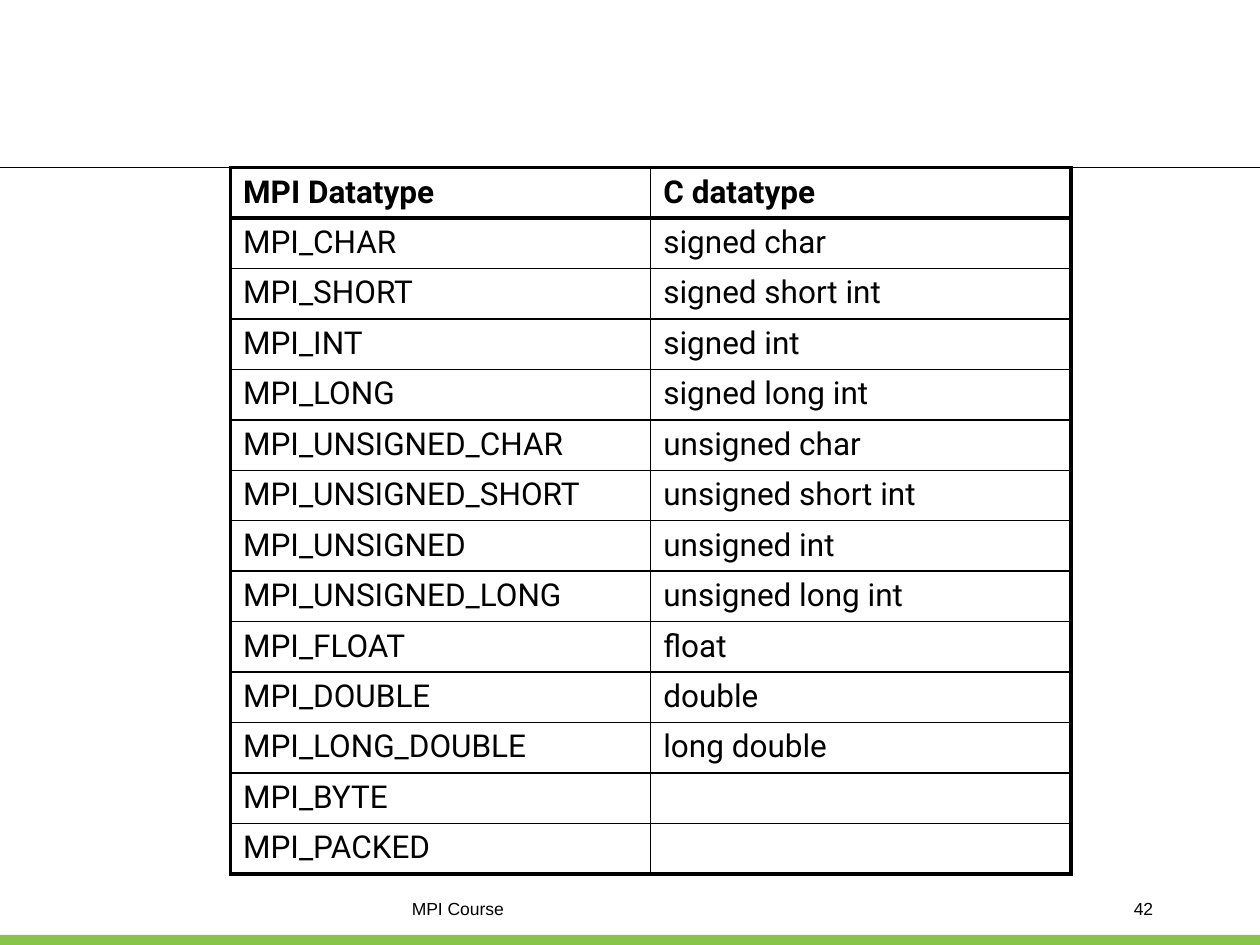
"""Build the slide that maps MPI datatypes to C datatypes."""
from lxml.etree import SubElement
from pptx import Presentation
from pptx.dml.color import RGBColor
from pptx.enum.shapes import MSO_CONNECTOR, MSO_SHAPE
from pptx.enum.text import PP_ALIGN
from pptx.oxml import parse_xml
from pptx.oxml.ns import nsdecls, qn
from pptx.util import Inches, Pt

BLACK = RGBColor(0x00, 0x00, 0x00)
GREEN = RGBColor(0x89, 0xC4, 0x48)
THIN, THICK = Pt(1), Pt(2.25)

DATATYPES = [
    ("MPI Datatype", "C datatype"),
    ("MPI_CHAR", "signed char"),
    ("MPI_SHORT", "signed short int"),
    ("MPI_INT", "signed int"),
    ("MPI_LONG", "signed long int"),
    ("MPI_UNSIGNED_CHAR", "unsigned char"),
    ("MPI_UNSIGNED_SHORT", "unsigned short int"),
    ("MPI_UNSIGNED", "unsigned int"),
    ("MPI_UNSIGNED_LONG", "unsigned long int"),
    ("MPI_FLOAT", "float"),
    ("MPI_DOUBLE", "double"),
    ("MPI_LONG_DOUBLE", "long double"),
    ("MPI_BYTE", ""),
    ("MPI_PACKED", ""),
]


def style_font(font, name, size, bold=False):
    font.name = name
    font.size = Pt(size)
    font.bold = bold
    font.color.rgb = BLACK


def add_green_band(slide):
    band = slide.shapes.add_shape(
        MSO_SHAPE.RECTANGLE, 0, Inches(7.42), Inches(10), Inches(0.08))
    band.shadow.inherit = False
    band.fill.solid()
    band.fill.fore_color.rgb = GREEN
    band.line.fill.background()


def add_title_rule(slide):
    rule = slide.shapes.add_connector(
        MSO_CONNECTOR.STRAIGHT, 0, Inches(1.33), Inches(10), Inches(1.33))
    rule.line.color.rgb = BLACK
    rule.line.width = Pt(0.75)
    SubElement(rule._element.spPr, qn("a:effectLst"))


def add_footer(slide, text, left, width, alignment):
    footer = slide.shapes.add_textbox(
        Inches(left), Inches(7.08), Inches(width), Inches(0.25))
    footer.text_frame.word_wrap = True
    footer.text_frame.text = text
    paragraph = footer.text_frame.paragraphs[0]
    paragraph.alignment = alignment
    style_font(paragraph.runs[0].font, "Arial", 10)


def set_borders(cell, left, right, top, bottom):
    widths = {"lnL": left, "lnR": right, "lnT": top, "lnB": bottom}
    properties = cell._tc.get_or_add_tcPr()
    for position, (side, width) in enumerate(widths.items()):
        properties.insert(position, parse_xml(
            f'<a:{side} {nsdecls("a")} w="{width}"><a:solidFill>'
            f'<a:srgbClr val="{BLACK}"/></a:solidFill></a:{side}>'))


def fill_cell(cell, text, is_header):
    cell.fill.background()
    cell.text_frame.text = text
    paragraph = cell.text_frame.paragraphs[0]
    spacing = SubElement(paragraph._p.get_or_add_pPr(), qn("a:spcBef"))
    SubElement(spacing, qn("a:spcPct"), val="20000")
    for run in paragraph.runs:
        style_font(run.font, "Roboto", 18, is_header)


def add_datatype_table(slide):
    last_row = len(DATATYPES) - 1
    table = slide.shapes.add_table(
        len(DATATYPES), 2, Inches(1.83), Inches(1.33),
        Inches(6.67), Inches(5.54)).table
    table.first_row = False
    table.horz_banding = False
    for row, names in enumerate(DATATYPES):
        for column, name in enumerate(names):
            cell = table.cell(row, column)
            fill_cell(cell, name, row == 0)
            set_borders(
                cell,
                left=THICK if column == 0 else THIN,
                right=THICK if column == 1 else THIN,
                top=THICK if row <= 1 else THIN,
                bottom=THICK if row in (0, last_row) else THIN)


def main():
    presentation = Presentation()
    presentation.slide_width = Inches(10)
    presentation.slide_height = Inches(7.5)
    slide = presentation.slides.add_slide(presentation.slide_layouts[6])
    add_green_band(slide)
    add_title_rule(slide)
    add_footer(slide, "MPI Course", 3.17, 3.67, PP_ALIGN.LEFT)
    add_footer(slide, "42", 7.17, 2.08, PP_ALIGN.RIGHT)
    add_datatype_table(slide)
    presentation.save("out.pptx")


if __name__ == "__main__":
    main()
